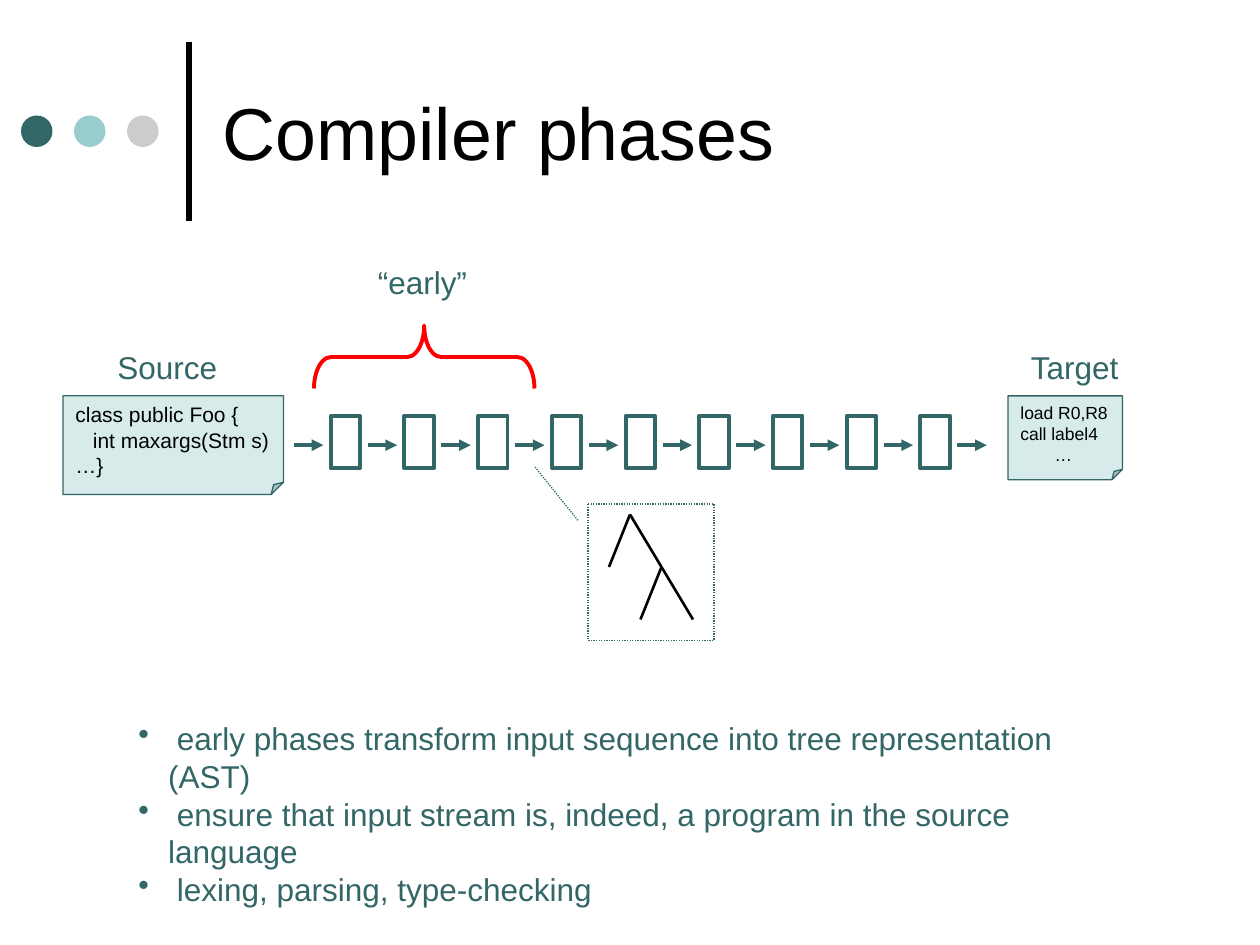
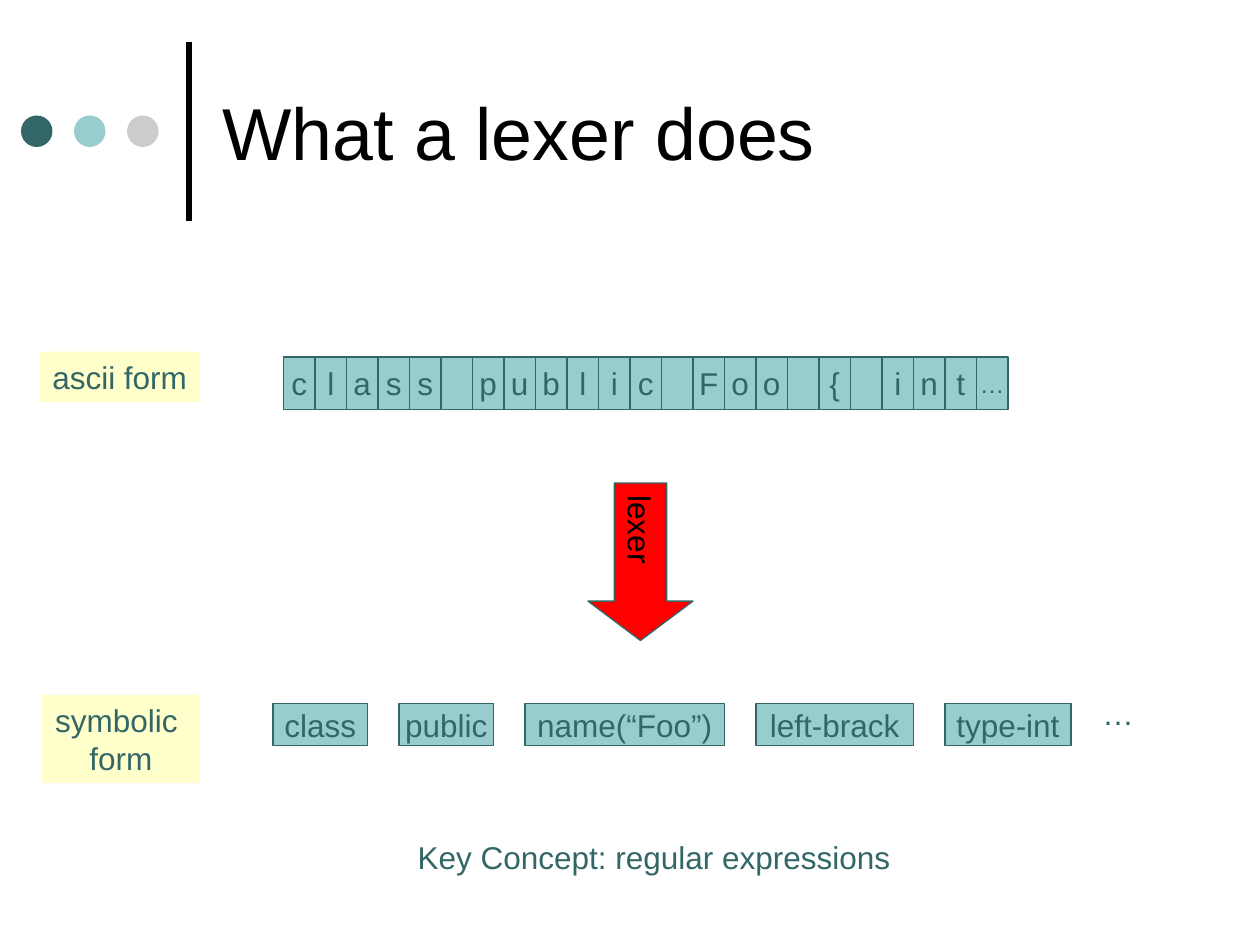
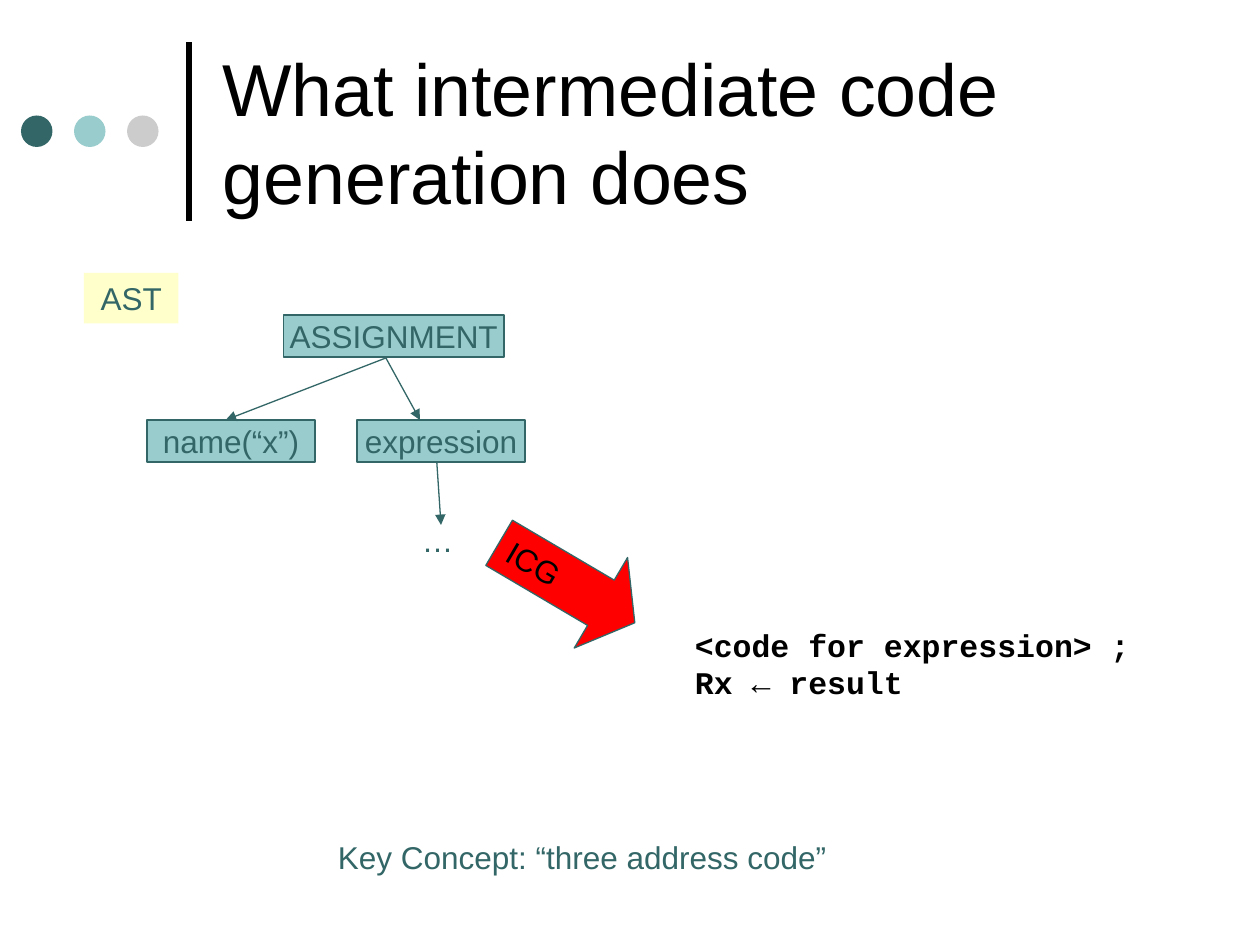
from lxml import etree
from pptx import Presentation
from pptx import util as u
from pptx.dml import color
from pptx.enum import dml, shapes, text
from pptx.oxml import ns

# Shared style; all lengths count cells of 1/12 inch (120 x 90 per slide)
CELL = 76200
DARK, TEAL, PALE, GREY = "336666", "99CCCC", "D7EBEB", "CCCCCC"
BLACK, WHITE, RED, CREAM = "000000", "FFFFFF", "FF0000", "FFFFCC"
FONT, CODE = "Arial", "Courier New"
KIND = shapes.MSO_SHAPE
LEFT, MID = text.PP_ALIGN.LEFT, text.PP_ALIGN.CENTER


def cells(*nums):
    return [u.Emu(round(n * CELL)) for n in nums]


def rgb(code):
    return color.RGBColor.from_string(code)


def add_xml(node, tag, **attrs):
    return etree.SubElement(node, ns.qn(tag), attrs)


def write(frame, lines, size=18, ink=DARK, face=FONT, align=LEFT, bold=False):
    frame.text = "\n".join(lines)
    for par in frame.paragraphs:
        par.alignment = align
        font = par.font
        font.size, font.name, font.bold = u.Pt(size), face, bold
        font.color.rgb = rgb(ink)


def indent(par, left, first=0):
    props = par._p.get_or_add_pPr()
    props.set("marL", str(u.Pt(left)))
    props.set("indent", str(u.Pt(first)))
    return props


def adjust(item, values):
    """Set the guides by name, as not every preset lists its own."""
    guides = item._element.spPr.find(ns.qn("a:prstGeom")).get_or_add_avLst()
    for old in list(guides):
        guides.remove(old)
    for i, value in enumerate(values, 1):
        name = f"adj{i}" if len(values) > 1 else "adj"
        add_xml(guides, "a:gd", name=name, fmla=f"val {round(value * 100000)}")


def shape(slide, kind, box, fill=None, line=None, width=0.75, adj=()):
    item = slide.shapes.add_shape(kind, *cells(*box))
    item.shadow.inherit = False
    if adj:
        adjust(item, adj)
    if fill:
        item.fill.solid()
        item.fill.fore_color.rgb = rgb(fill)
    else:
        item.fill.background()
    if line:
        item.line.color.rgb = rgb(line)
        item.line.width = u.Pt(width)
    else:
        item.line.fill.background()
    return item


def line(slide, start, end, ink=DARK, width=0.75, arrow=False):
    item = slide.shapes.add_connector(
        shapes.MSO_CONNECTOR.STRAIGHT, *cells(*start, *end))
    item.line.color.rgb = rgb(ink)
    item.line.width = u.Pt(width)
    if arrow:
        add_xml(item.line._get_or_add_ln(), "a:tailEnd", type="triangle")
    add_xml(item._element.spPr, "a:effectLst")


def label(slide, box, *lines, fill=None, wrap=False, **style):
    item = slide.shapes.add_textbox(*cells(*box))
    if fill:
        item.fill.solid()
        item.fill.fore_color.rgb = rgb(fill)
    frame = item.text_frame
    write(frame, lines, **style)
    frame.word_wrap = wrap
    frame.auto_size = text.MSO_AUTO_SIZE.SHAPE_TO_FIT_TEXT
    return frame


def block(slide, box, words, size=18):
    item = shape(slide, KIND.RECTANGLE, box, TEAL, DARK)
    frame = item.text_frame
    frame.word_wrap = False
    frame.vertical_anchor = text.MSO_ANCHOR.MIDDLE
    if words:
        write(frame, [words], size, align=MID)


def note(slide, box, lines, size, inset):
    """Page with a folded corner; inset maps a line number to its indent."""
    item = shape(slide, KIND.FOLDED_CORNER, box, PALE, DARK, adj=[0.125])
    frame = item.text_frame
    frame.word_wrap = False
    frame.vertical_anchor = text.MSO_ANCHOR.TOP
    write(frame, lines, size, BLACK)
    for row, left in inset.items():
        indent(frame.paragraphs[row], left)


def step(slide, box, words, turn=0):
    """Red arrow with its text running downwards."""
    item = shape(slide, KIND.DOWN_ARROW, box, RED, DARK, adj=[0.5, 0.375])
    item.rotation = turn
    frame = item.text_frame
    frame.word_wrap = False
    frame.vertical_anchor = text.MSO_ANCHOR.MIDDLE
    write(frame, [words], ink=BLACK, align=MID)
    frame._txBody.bodyPr.set("vert", "eaVert")


def start(deck, title):
    slide = deck.slides.add_slide(deck.slide_layouts[5])
    # Rule and dots beside the title
    line(slide, (18, 21), (18, 4), BLACK, 3)
    for i, ink in enumerate((DARK, TEAL, GREY)):
        shape(slide, KIND.OVAL, (2 + 5.05 * i, 11, 3, 3), ink)
    head = slide.shapes.title
    head.left, head.top, head.width, head.height = cells(20, 2.5, 92, 20)
    frame = head.text_frame
    write(frame, [title], 42, BLACK)
    frame.word_wrap = True
    frame.auto_size = text.MSO_AUTO_SIZE.NONE
    frame.vertical_anchor = text.MSO_ANCHOR.MIDDLE
    return slide


def phases(deck):
    slide = start(deck, "Compiler phases")
    # Chain of nine phases between ten arrows
    pitch = 7.02
    for i in range(9):
        shape(slide, KIND.RECTANGLE, (31.5 + pitch * i, 39.6, 2.8, 5),
              WHITE, DARK, 2.25)
    for i in range(10):
        left = 28 + pitch * i
        line(slide, (left, 42.4), (left + 2.8, 42.4), DARK, 2.25, True)
    # Input and output
    label(slide, (10, 32.6, 11.9, 4.8), "Source")
    note(slide, (6, 37.7, 21, 9.4),
         ["class public Foo {", "int maxargs(Stm s)", "…}"], 12, {1: 10})
    label(slide, (97, 32.6, 11, 4.8), "Target")
    note(slide, (96, 37.7, 10.9, 8),
         ["load R0,R8", "call label4", "…"], 10, {2: 19.5})
    # Early phases
    brace = shape(slide, KIND.RIGHT_BRACE, (37.4, 23.5, 6, 21), None, RED,
                  2.25, [0.27, 0.5])
    brace.rotation = 270
    label(slide, (34.8, 24.5, 10.9, 4.8), "“early”")
    frame = label(
        slide, (12, 67.9, 96.8, 12),
        " early phases transform input sequence into tree representation (AST)",
        " ensure that input stream is, indeed, a program in the source language",
        " lexing, parsing, type-checking", wrap=True)
    for par in frame.paragraphs:
        props = indent(par, 17, -17)
        bullet = add_xml(props, "a:buChar", char="•")
        props.insert(0, bullet)
    # Tree in a callout
    call = shape(slide, KIND.LINE_CALLOUT_1, (56, 48, 12, 13), WHITE, DARK,
                 adj=[0.12, -0.08, -0.27, -0.42])
    call.line.dash_style = dml.MSO_LINE.ROUND_DOT
    root, fork = (60, 49), (63, 54)
    for top, end in ((root, (58, 54)), (root, fork),
                     (fork, (61, 59)), (fork, (66, 59))):
        line(slide, top, end, BLACK, 1.5)


def lexer(deck):
    slide = start(deck, "What a lexer does")
    # One cell per character
    for i, char in enumerate("class public Foo { int…"):
        block(slide, (27 + 3 * i, 34, 3, 5), char.strip(),
              14 if char == "…" else 18)
    # Tokens
    left = 26
    for words, wide in (("class", 9), ("public", 9), ("name(“Foo”)", 19),
                        ("left-brack", 15), ("type-int", 12)):
        block(slide, (left, 67, wide, 4), words)
        left += wide + 3
    label(slide, (103.8, 65.5, 5.4, 4.8), "…")
    step(slide, (56, 46, 10, 15), "lexer")
    # Captions
    label(slide, (3.8, 33.5, 15.2, 4.8), "ascii form", fill=CREAM)
    label(slide, (4, 66.2, 15, 8.4), "symbolic ", "form", fill=CREAM,
          wrap=True, align=MID)
    label(slide, (38.6, 79.2, 47.4, 4.8), "Key Concept: regular expressions")


def codegen(deck):
    slide = start(deck, "What intermediate code generation does")
    # Syntax tree
    block(slide, (27, 30, 21, 4), "ASSIGNMENT")
    block(slide, (14, 40, 16, 4), "name(“x”)")
    block(slide, (34, 40, 16, 4), "expression")
    for top, end in (((37, 34), (21.5, 40)), ((36.7, 34), (40, 40)),
                     ((41.6, 44), (42, 50))):
        line(slide, top, end, arrow=True)
    label(slide, (39, 49, 5.4, 4.8), "…")
    step(slide, (49, 48, 10, 15), "ICG", 300.5)
    # Captions and code
    label(slide, (8, 26, 9, 4.8), "AST", fill=CREAM, wrap=True, align=MID)
    label(slide, (31, 79.2, 49, 4.8), "Key Concept: “three address code”")
    label(slide, (65, 59, 43.8, 8.4), "<code for expression> ;",
          "Rx ← result", ink=BLACK, face=CODE, bold=True)


def main():
    deck = Presentation()
    deck.slide_width, deck.slide_height = cells(120, 90)
    phases(deck)
    lexer(deck)
    codegen(deck)
    deck.save("out.pptx")


main()
